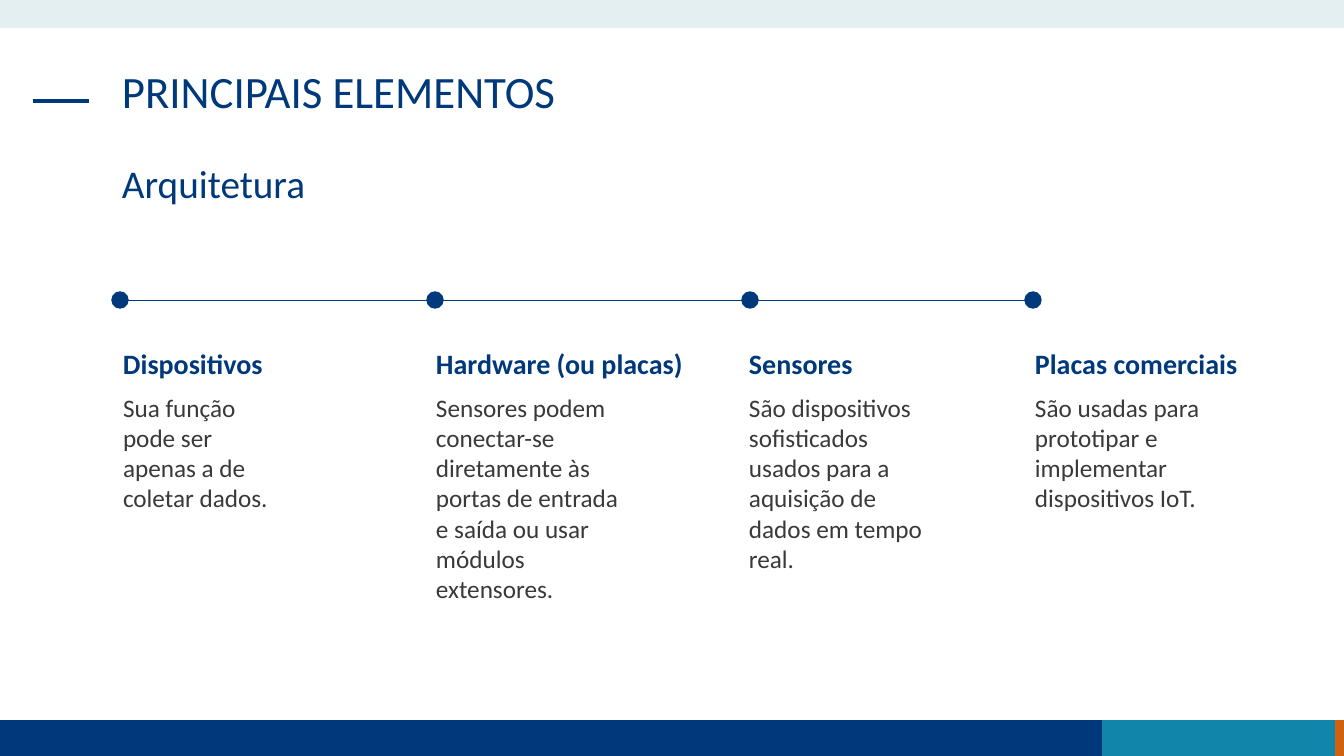
from dataclasses import dataclass

from lxml.etree import SubElement
from pptx import Presentation
from pptx.dml.color import RGBColor
from pptx.enum.shapes import MSO_CONNECTOR as Link, MSO_SHAPE as Kind
from pptx.enum.text import MSO_ANCHOR as Anchor, MSO_AUTO_SIZE as Fit, PP_ALIGN as Align
from pptx.oxml.ns import qn
from pptx.util import Emu, Pt

SCALE = 914400 / 100.8
NAVY = "00397B"
GREY = "3B3838"
DOT = 16
AXIS = 300


@dataclass(frozen=True)
class Bar:
    left: int
    top: int
    width: int
    height: int
    color: str


@dataclass(frozen=True)
class Step:
    dot: int
    left: int
    width: int
    head: str
    body: str


BARS = [
    Bar(1302, 720, 42, 36, "D06110"),
    Bar(0, 720, 1102, 36, NAVY),
    Bar(1102, 720, 233, 36, "1185AA"),
    Bar(0, 0, 1344, 28, "E3EFF1"),
]

STEPS = [
    Step(112, 114, 184, "Dispositivos",
         "Sua função pode ser apenas a de coletar dados."),
    Step(427, 427, 205, "Hardware (ou placas)",
         "Sensores podem conectar-se diretamente às portas de entrada "
         "e saída ou usar módulos extensores."),
    Step(742, 740, 205, "Sensores",
         "São dispositivos sofisticados usados para a aquisição de dados "
         "em tempo real."),
    Step(1025, 1026, 205, "Placas comerciais",
         "São usadas para prototipar e implementar dispositivos IoT."),
]


def px(n: int) -> Emu:
    return Emu(round(n * SCALE))


def tint(color: str) -> RGBColor:
    return RGBColor.from_string(color)


def place(shape, left: int, top: int, width: int, height: int) -> None:
    shape.left, shape.top = px(left), px(top)
    shape.width, shape.height = px(width), px(height)


def write(shape, text: str, *, size: int, color: str = NAVY, bold: bool = False,
          inset: int = 10, lead: float = 1.0) -> None:
    frame = shape.text_frame
    frame.word_wrap = True
    frame.auto_size = Fit.NONE
    frame.vertical_anchor = Anchor.TOP
    frame.margin_left = frame.margin_right = px(inset)
    frame.margin_top = frame.margin_bottom = px(5)
    frame.text = text
    para = frame.paragraphs[0]
    para.alignment = Align.LEFT
    para.line_spacing = lead
    para.space_before = Pt(0)
    font = para.runs[0].font
    font.name, font.size, font.bold = "Calibri", Pt(size), bold
    font.color.rgb = tint(color)


def label(slide, left: int, top: int, width: int, height: int, text: str,
          **style) -> None:
    box = slide.shapes.add_textbox(px(left), px(top), px(width), px(height))
    write(box, text, **style)


def solid(slide, kind: Kind, bar: Bar, edge: bool = False) -> None:
    shape = slide.shapes.add_shape(kind, 0, 0, 0, 0)
    place(shape, bar.left, bar.top, bar.width, bar.height)
    shape.shadow.inherit = False
    shape.fill.solid()
    shape.fill.fore_color.rgb = tint(bar.color)
    if edge:
        shape.line.color.rgb = tint(bar.color)
        shape.line.width = Pt(1)
    else:
        shape.line.fill.background()


def rule(slide, start: int, end: int, y: int, weight: float) -> None:
    line = slide.shapes.add_connector(Link.STRAIGHT, px(start), px(y), px(end), px(y))
    line.line.color.rgb = tint(NAVY)
    line.line.width = Pt(weight)
    SubElement(line._element.spPr, qn("a:effectLst"))


def main() -> None:
    deck = Presentation()
    deck.slide_width, deck.slide_height = px(1344), px(756)
    slide = deck.slides.add_slide(deck.slide_layouts[5])

    for bar in BARS:
        solid(slide, Kind.RECTANGLE, bar)
    rule(slide, 33, 89, 101, 3)

    title = slide.shapes.title
    place(title, 112, 65, 1119, 95)
    write(title, "PRINCIPAIS ELEMENTOS", size=32, lead=0.9)
    label(slide, 112, 160, 1119, 95, "Arquitetura", size=28, lead=0.9)

    rule(slide, STEPS[0].dot + DOT, STEPS[-1].dot, AXIS, 0.5)
    for step in STEPS:
        dot = Bar(step.dot, AXIS - DOT // 2, DOT, DOT, NAVY)
        solid(slide, Kind.OVAL, dot, edge=True)
        label(slide, step.left, 341, 270, 39, step.head, size=20, bold=True, inset=9)
        label(slide, step.left, 387, step.width, 173, step.body, size=18,
              color=GREY, inset=9)

    deck.save("out.pptx")


if __name__ == "__main__":
    main()
